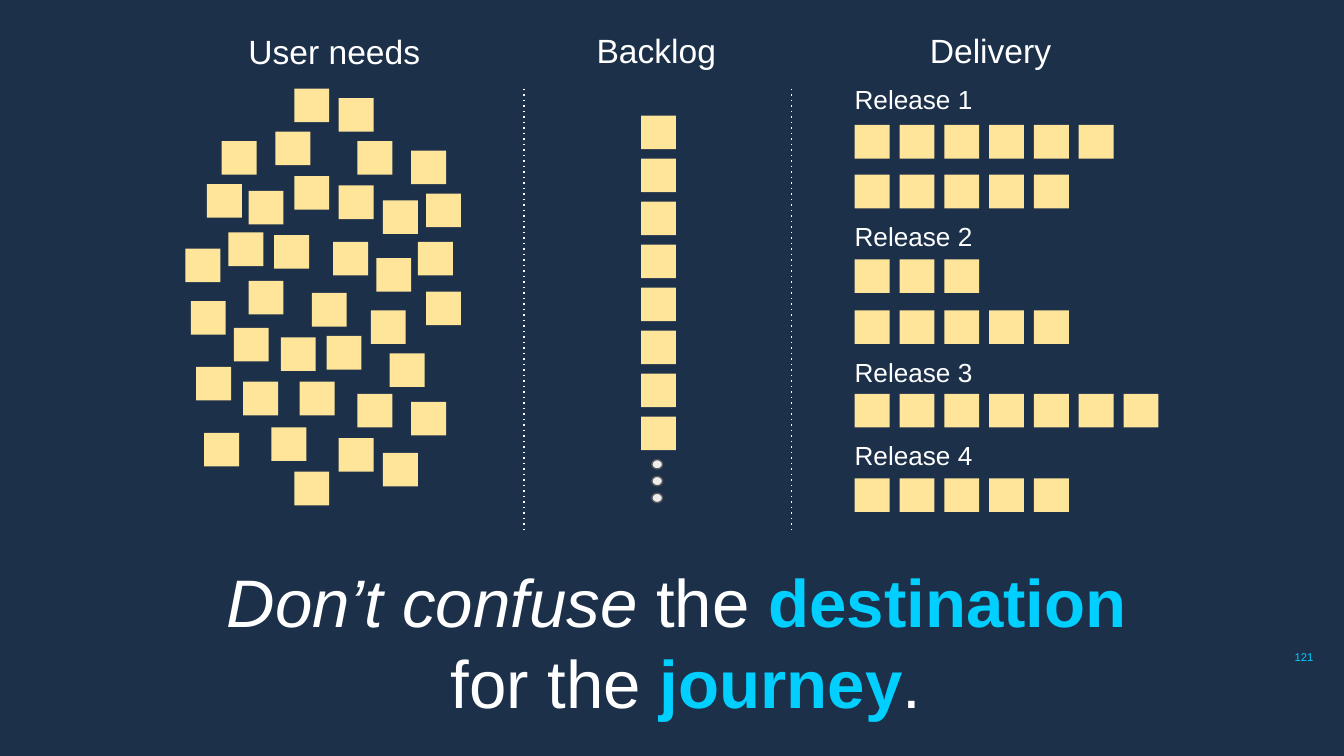
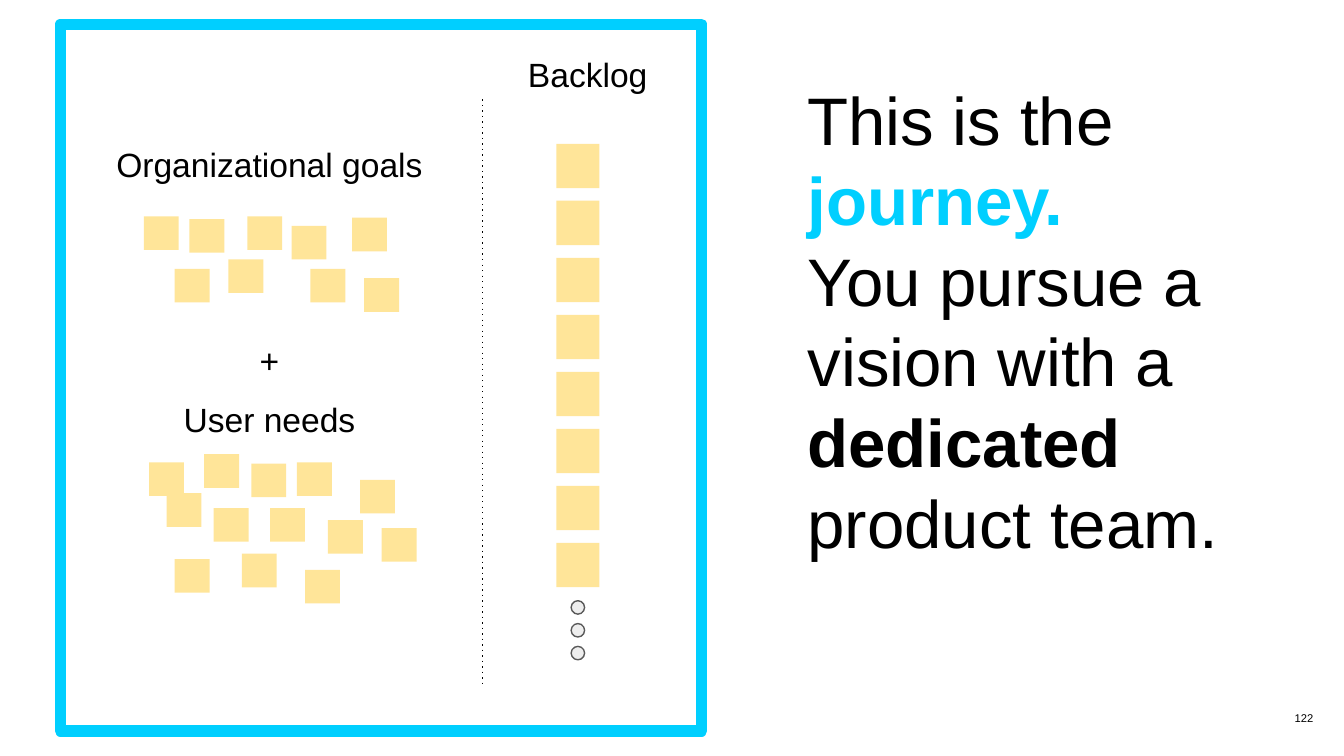
import pptx
import pptx.util
from lxml import etree
from pptx.dml.color import RGBColor
from pptx.enum.shapes import MSO_CONNECTOR, MSO_SHAPE
from pptx.enum.text import MSO_ANCHOR, MSO_AUTO_SIZE, PP_ALIGN
from pptx.oxml.ns import qn
from pptx.util import Inches

COLORS = {
    "navy": "1C304A",
    "white": "FFFFFF",
    "black": "000000",
    "cyan": "00CFFF",
    "note": "FFE599",
    "dot": "EEEEEE",
    "edge": "595959",
}
FONT = "Arial"
NOTE = (0.26, 0.25)

# Slide 1: titles as (text, box)
HEADS = [
    ("User needs", (1.75, 0.13, 1.62, 0.2)),
    ("Backlog", (4.34, 0.12, 1.22, 0.44)),
    ("Delivery", (6.82, 0.12, 1.35, 0.2)),
]
NEEDS = [
    (2.19, 0.66), (2.52, 0.73), (2.05, 0.98), (1.65, 1.05), (2.66, 1.05),
    (3.06, 1.12), (2.19, 1.31), (1.54, 1.37), (2.52, 1.38), (1.85, 1.42),
    (3.17, 1.44), (2.85, 1.49), (1.7, 1.73), (2.04, 1.75), (2.48, 1.8),
    (3.11, 1.8), (1.38, 1.85), (2.8, 1.92), (1.85, 2.09), (3.17, 2.17),
    (2.32, 2.18), (1.42, 2.24), (2.76, 2.31), (1.74, 2.44), (2.43, 2.5),
    (2.09, 2.51), (2.9, 2.63), (1.46, 2.73), (1.81, 2.84), (2.23, 2.84),
    (2.66, 2.93), (3.06, 2.99), (2.02, 3.18), (1.52, 3.22), (2.52, 3.26),
    (2.85, 3.37), (2.19, 3.51),
]
# (name, label top, rows as (top, number of notes))
RELEASES = [
    ("Release 1", 0.52, [(0.93, 6), (1.3, 5)]),
    ("Release 2", 1.54, [(1.93, 3), (2.31, 5)]),
    ("Release 3", 2.55, [(2.93, 7)]),
    ("Release 4", 3.17, [(3.56, 5)]),
]
# Runs are (text, colour, style)
MOTTO = [
    [("Don’t confuse", "white", "i"), (" the ", "white", ""),
     ("destination ", "cyan", "b")],
    [("for the ", "white", ""), ("journey", "cyan", "b"), (".", "white", "")],
]

# Slide 2
GOALS = [
    (1.07, 1.61), (1.84, 1.61), (2.62, 1.62), (1.41, 1.63), (2.17, 1.68),
    (1.7, 1.93), (1.3, 2), (2.31, 2), (2.71, 2.07),
]
USERS = [
    (1.52, 3.38), (1.11, 3.44), (2.21, 3.44), (1.87, 3.45), (2.68, 3.57),
    (1.24, 3.67), (1.59, 3.78), (2.01, 3.78), (2.44, 3.87), (2.84, 3.93),
    (1.8, 4.12), (1.3, 4.16), (2.27, 4.24),
]
VISION = [
    [("This is the ", "black", ""), ("journey.", "cyan", "b")],
    [("You pursue a vision with a ", "black", ""),
     ("dedicated", "black", "b"), (" product team.", "black", "")],
]


def rgb(name):
    return RGBColor.from_string(COLORS[name])


def spread(first, last, count):
    """Evenly spaced positions from first to last."""
    return [first + (last - first) * i / (count - 1) for i in range(count)]


def add_page(deck, back):
    slide = deck.slides.add_slide(deck.slide_layouts[6])
    slide.background.fill.solid()
    slide.background.fill.fore_color.rgb = rgb(back)
    return slide


def add_text(slide, box, paras, size, align=PP_ALIGN.LEFT):
    frame = slide.shapes.add_textbox(*map(Inches, box)).text_frame
    frame.word_wrap = True
    frame.margin_left = frame.margin_right = Inches(0.1)
    frame.margin_top = frame.margin_bottom = Inches(0.1)
    for i, runs in enumerate(paras):
        para = frame.add_paragraph() if i else frame.paragraphs[0]
        para.alignment = align
        for text, color, style in runs:
            run = para.add_run()
            run.text = text
            run.font.name = FONT
            run.font.size = pptx.util.Pt(size)
            run.font.color.rgb = rgb(color)
            run.font.bold = "b" in style
            run.font.italic = "i" in style
    return frame


def add_number(slide, text, top, color):
    frame = add_text(slide, (9.27, top, 0.6, 0.29), [[(text, color, "")]],
                     6, PP_ALIGN.RIGHT)
    frame.vertical_anchor = MSO_ANCHOR.MIDDLE
    frame.paragraphs[0].line_spacing = 0.8


def add_form(slide, kind, box, fill=None, line=None, width=0.75):
    shape = slide.shapes.add_shape(kind, *map(Inches, box))
    shape.shadow.inherit = False
    if fill:
        shape.fill.solid()
        shape.fill.fore_color.rgb = rgb(fill)
    else:
        shape.fill.background()
    if line:
        shape.line.color.rgb = rgb(line)
        shape.line.width = pptx.util.Pt(width)
    else:
        shape.line.fill.background()


def add_notes(slide, spots, size=NOTE):
    for spot in spots:
        add_form(slide, MSO_SHAPE.RECTANGLE, (*spot, *size), "note")


def add_backlog(slide, left, tops, size, dot_left, dot_tops, dot_size):
    """A column of eight notes that trails off in three dots."""
    add_notes(slide, [(left, y) for y in spread(*tops, 8)], size)
    for y in spread(*dot_tops, 3):
        add_form(slide, MSO_SHAPE.OVAL, (dot_left, y, *dot_size), "dot", "edge")


def add_rule(slide, x, top, end, color):
    """A dotted vertical divider."""
    rule = slide.shapes.add_connector(
        MSO_CONNECTOR.STRAIGHT, *map(Inches, (x, top, x, end)))
    rule.line.color.rgb = rgb(color)
    rule.line.width = pptx.util.Pt(0.75)
    props = rule._element.spPr
    etree.SubElement(props.find(qn("a:ln")), qn("a:prstDash"), val="dot")
    etree.SubElement(props, qn("a:effectLst"))


def build_goal(deck):
    slide = add_page(deck, "navy")
    for text, box in HEADS:
        add_text(slide, box, [[(text, "white", "")]], 18)
    for x in (3.9, 5.89):
        add_rule(slide, x, 0.66, 3.95, "white")
    add_notes(slide, NEEDS)
    add_backlog(slide, 4.77, (0.86, 3.1), NOTE,
                4.85, (3.42, 3.67), (0.08, 0.07))
    cols = spread(6.36, 8.36, 7)
    for name, top, rows in RELEASES:
        add_text(slide, (6.26, top, 2.22, 0.33), [[(name, "white", "")]], 14)
        for y, count in rows:
            add_notes(slide, [(x, y) for x in cols[:count]])
    motto = add_text(slide, (0.53, 4.07, 9.15, 1.41), MOTTO, 36,
                     PP_ALIGN.CENTER)
    motto.auto_size = MSO_AUTO_SIZE.SHAPE_TO_FIT_TEXT
    add_number(slide, "121", 4.75, "cyan")


def build_path(deck):
    slide = add_page(deck, "white")
    add_form(slide, MSO_SHAPE.RECTANGLE, (0.45, 0.18, 4.77, 5.26),
             line="cyan", width=6)
    add_text(slide, (0.59, 0.97, 2.83, 0.2),
             [[("Organizational goals", "black", "")]], 18, PP_ALIGN.CENTER)
    add_notes(slide, GOALS)
    plus = add_text(slide, (0.84, 2.43, 2.33, 0.2),
                    [[("+", "black", "")], [("User needs", "black", "")]],
                    18, PP_ALIGN.CENTER)
    plus.paragraphs[1].space_before = pptx.util.Pt(10)
    add_notes(slide, USERS)
    add_rule(slide, 3.59, 0.74, 5.12, "black")
    add_text(slide, (3.83, 0.3, 1.19, 0.48), [[("Backlog", "black", "")]], 18)
    add_backlog(slide, 4.14, (1.07, 4.04), (0.32, 0.33),
                4.25, (4.47, 4.81), (0.1, 0.1))
    add_text(slide, (5.91, 0.48, 3.61, 4.66), VISION, 36)
    add_number(slide, "122", 5.21, "black")


def main():
    deck = pptx.Presentation()
    deck.slide_width = Inches(10)
    deck.slide_height = Inches(10 * 9 / 16)
    build_goal(deck)
    build_path(deck)
    deck.save("out.pptx")


if __name__ == "__main__":
    main()
